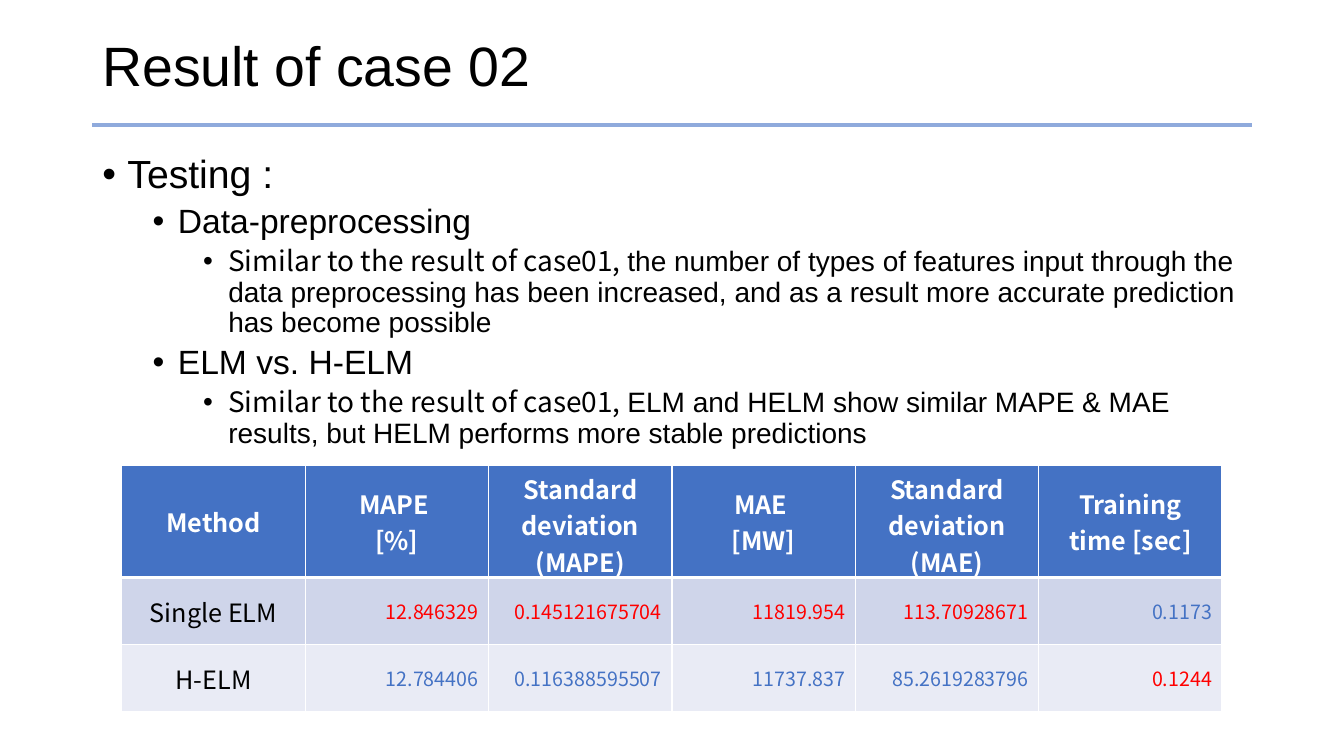
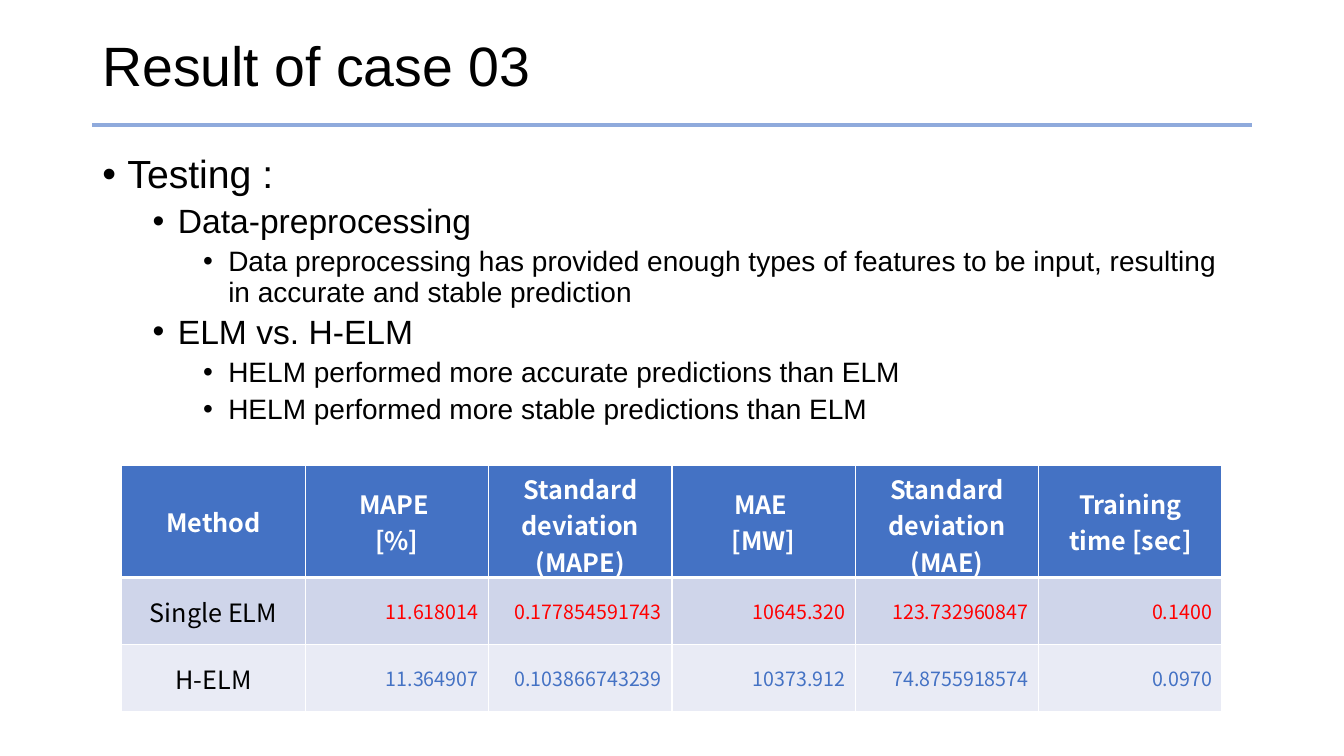
from dataclasses import dataclass

from lxml.etree import SubElement as Sub
from pptx import Presentation
from pptx.dml.color import RGBColor as Rgb
from pptx.enum.shapes import MSO_CONNECTOR as Line
from pptx.enum.text import MSO_ANCHOR as Anchor, PP_ALIGN as Align
from pptx.oxml.ns import qn
from pptx.util import Emu, Pt

PX = 9525  # EMU in one px, 96 px to the inch
SANS, CJK = "Arial", "Noto Sans CJK KR"
HUES = {
    "text": "000000", "white": "FFFFFF", "rule": "8FAADC", "head": "4472C4",
    "odd": "CFD5EA", "even": "E9EBF5", "best": "4472C4", "worst": "FF0000",
}
LEFT, WIDE = 88, 1104
ROWS = (107, 64, 64)
HEADS = ("Method", "MAPE \n[%]", "Standard deviation\n(MAPE)", "MAE \n[MW]",
         "Standard deviation\n(MAE)", "Training time [sec]")
SAME = "Similar to the result of case01, "


@dataclass(frozen=True)
class Level:
    size: int
    indent: int
    before: int


LEVELS = (Level(28, 24, 10), Level(24, 72, 5), Level(20, 120, 5))


@dataclass(frozen=True)
class Point:
    level: int
    text: str
    lead: str = ""  # opening words, set in the CJK font


@dataclass(frozen=True)
class Case:
    title: str
    prep: tuple[Point, ...]
    versus: tuple[Point, ...]
    single: tuple[str, ...]
    hier: tuple[str, ...]


CASES = (
    Case(
        "Result of case 02",
        (Point(2, "the number of types of features input through the data "
                  "preprocessing has been increased, and as a result more "
                  "accurate prediction has become possible", SAME),),
        (Point(2, "ELM and HELM show similar MAPE & MAE results, but HELM "
                  "performs more stable predictions", SAME),),
        ("12.846329", "0.145121675704", "11819.954", "113.70928671", "0.1173"),
        ("12.784406", "0.116388595507", "11737.837", "85.2619283796", "0.1244"),
    ),
    Case(
        "Result of case 03",
        (Point(2, "Data preprocessing has provided enough types of features "
                  "to be input, resulting in accurate and stable prediction"),),
        (Point(2, "HELM performed more accurate predictions than ELM"),
         Point(2, "HELM performed more stable predictions than ELM")),
        ("11.618014", "0.177854591743", "10645.320", "123.732960847", "0.1400"),
        ("11.364907", "0.103866743239", "10373.912", "74.8755918574", "0.0970"),
    ),
)


def px(num: int) -> Emu:
    return Emu(num * PX)


def hue(name: str) -> Rgb:
    return Rgb.from_string(HUES[name])


def style(para, size: float, face: str, tint: str = "text",
          bold: bool = False) -> None:
    font = para.font
    font.size, font.name, font.bold = Pt(size), face, bold
    font.color.rgb = hue(tint)


def add_box(slide, top: int, high: int):
    box = slide.shapes.add_textbox(px(LEFT), px(top), px(WIDE), px(high))
    box.text_frame.word_wrap = True
    return box.text_frame


def add_title(slide, text: str) -> None:
    """Draw the title and the rule below it."""
    frame = add_box(slide, 29, 72)
    frame.vertical_anchor = Anchor.MIDDLE
    para = frame.paragraphs[0]
    para.text, para.line_spacing = text, 0.9
    style(para, 39.6, SANS)
    rule = slide.shapes.add_connector(
        Line.STRAIGHT, px(LEFT), px(119), px(LEFT + WIDE), px(119))
    rule.line.color.rgb = hue("rule")
    rule.line.width = Pt(3.16)
    Sub(rule._element.spPr, qn("a:effectLst"))


def add_point(para, point: Point) -> None:
    level = LEVELS[point.level]
    para.level, para.line_spacing = point.level, 0.9
    para.space_before = Pt(level.before)
    props = para._p.get_or_add_pPr()
    props.set("marL", str(px(level.indent)))
    props.set("indent", str(px(-24)))
    Sub(props, qn("a:buFont"), typeface=SANS)
    Sub(props, qn("a:buChar"), char="•")
    style(para, level.size, SANS)
    if point.lead:
        run = para.add_run()
        run.text, run.font.name = point.lead, CJK
    para.add_run().text = point.text


def add_points(slide, case: Case) -> None:
    frame = add_box(slide, 143, 555)
    points = (Point(0, "Testing :"), Point(1, "Data-preprocessing"), *case.prep,
              Point(1, "ELM vs. H-ELM"), *case.versus)
    for num, point in enumerate(points):
        para = frame.add_paragraph() if num else frame.paragraphs[0]
        add_point(para, point)


def edge(cell, row: int) -> None:
    """Draw white borders, thick between the head and the body."""
    props = cell._tc.get_or_add_tcPr()
    thick = {"T": row == 1, "B": row == 0}
    for side in "LRTB":
        width = Pt(3 if thick.get(side) else 1)
        line = Sub(props, qn(f"a:ln{side}"), w=str(width))
        fill = Sub(line, qn("a:solidFill"))
        Sub(fill, qn("a:srgbClr"), val=HUES["white"])


def fill_cell(cell, row: int, text: str, size: int, tint: str,
              align: Align) -> None:
    edge(cell, row)
    cell.fill.solid()
    cell.fill.fore_color.rgb = hue(("head", "odd", "even")[row])
    cell.vertical_anchor = Anchor.MIDDLE
    cell.text = text
    for para in cell.text_frame.paragraphs:
        para.alignment = align
        style(para, size, CJK, tint, bold=row == 0)


def add_scores(slide, case: Case) -> None:
    """Draw the table; the lower score of each column is the best."""
    table = slide.shapes.add_table(
        len(ROWS), len(HEADS), px(116), px(443), px(1048), px(sum(ROWS))).table
    for row, high in zip(table.rows, ROWS):
        row.height = px(high)
    for col, head in enumerate(HEADS):
        fill_cell(table.cell(0, col), 0, head, 18, "white", Align.CENTER)
    for row, name in enumerate(("Single ELM", "H-ELM"), 1):
        fill_cell(table.cell(row, 0), row, name, 18, "text", Align.CENTER)
    for col, pair in enumerate(zip(case.single, case.hier), 1):
        best = min(pair, key=float)
        for row, score in enumerate(pair, 1):
            tint = "best" if score == best else "worst"
            fill_cell(table.cell(row, col), row, score, 14, tint, Align.RIGHT)


def main() -> None:
    deck = Presentation()
    deck.slide_width, deck.slide_height = px(1280), px(720)
    for case in CASES:
        slide = deck.slides.add_slide(deck.slide_layouts[6])
        add_title(slide, case.title)
        add_points(slide, case)
        add_scores(slide, case)
    deck.save("out.pptx")


if __name__ == "__main__":
    main()
